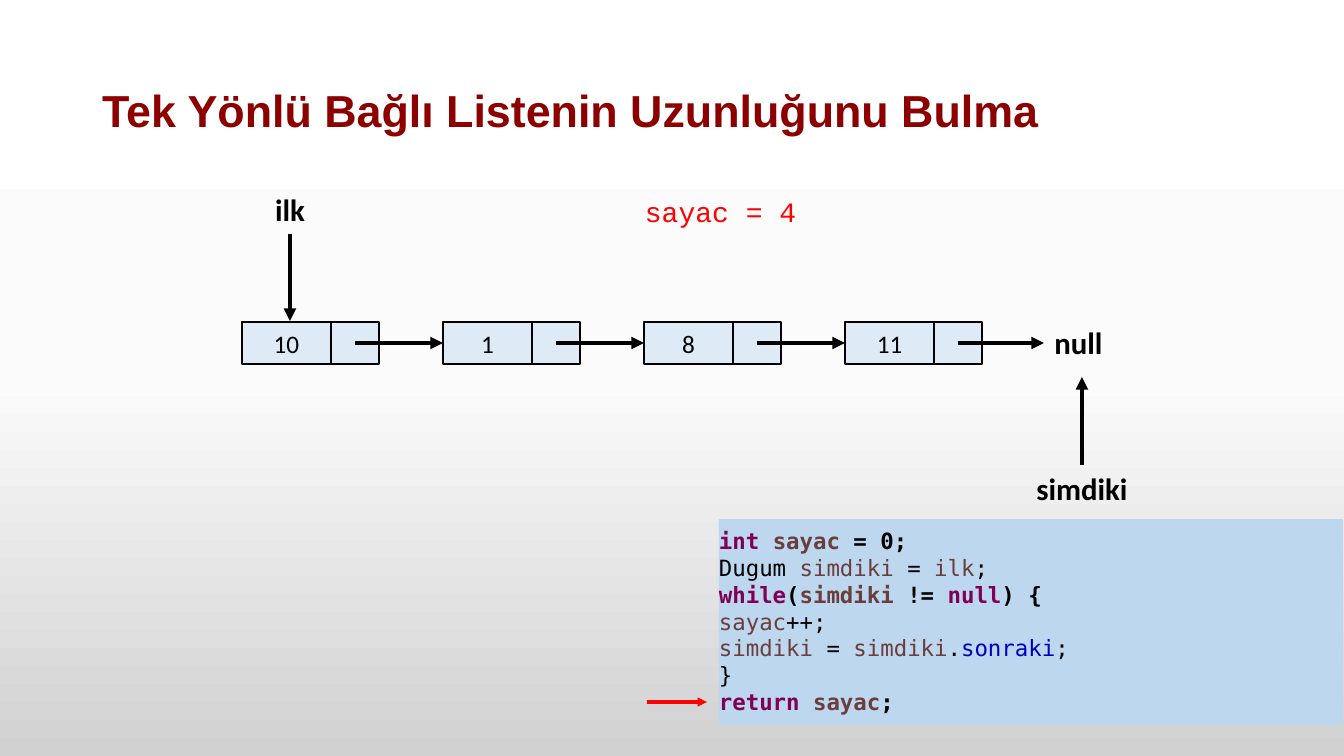
from lxml.etree import SubElement
from pptx import Presentation
from pptx.dml.color import RGBColor
from pptx.enum.shapes import MSO_CONNECTOR, MSO_SHAPE
from pptx.enum.text import MSO_ANCHOR, MSO_AUTO_SIZE, PP_ALIGN
from pptx.oxml.ns import qn
from pptx.util import Emu, Pt

BLACK = RGBColor(0x00, 0x00, 0x00)
RED = RGBColor(0xFF, 0x00, 0x00)
MAROON = RGBColor(0x8C, 0x00, 0x00)
CELL = RGBColor(0xDE, 0xEB, 0xF7)
PANEL = RGBColor(0xBD, 0xD7, 0xEE)
KEYWORD = RGBColor(0x7F, 0x00, 0x55)
VARIABLE = RGBColor(0x6A, 0x3E, 0x3E)
FIELD = RGBColor(0x00, 0x00, 0xC0)
BACKGROUND = [(0, "FFFFFF"), (50, "FBFBFB"), (100, "D1D1D1")]

CODE = [
    (True, [("int ", KEYWORD), ("sayac", VARIABLE), (" = 0;", BLACK)]),
    (False, [("Dugum ", BLACK), ("simdiki", VARIABLE), (" = ", BLACK),
             ("ilk", VARIABLE), (";", BLACK)]),
    (True, [("while", KEYWORD), ("(", BLACK), ("simdiki", VARIABLE),
            (" != ", BLACK), ("null", KEYWORD), (") {", BLACK)]),
    (False, [("sayac", VARIABLE), ("++;", BLACK)]),
    (False, [("simdiki", VARIABLE), (" = ", BLACK), ("simdiki", VARIABLE),
             (".", BLACK), ("sonraki", FIELD), (";", BLACK)]),
    (False, [("}", BLACK)]),
    (True, [("return ", KEYWORD), ("sayac", VARIABLE), (";", BLACK)]),
]

NODES = ["10", "1", "8", "11"]
NODE_X, NODE_Y, NODE_STEP = 242, 322, 201
DATA_W, LINK_W, NODE_H = 89, 48, 42
MID_Y = NODE_Y + NODE_H // 2


def px(n):
    return Emu(round(n * 914400 / 100.8))


class Deck:
    def __init__(self, width, height):
        self.prs = Presentation()
        self.prs.slide_width, self.prs.slide_height = px(width), px(height)
        self.slide = self.prs.slides.add_slide(self.prs.slide_layouts[5])
        self.shapes = self.slide.shapes

    def style(self, r, font, size, color, bold=False):
        r.font.name, r.font.size, r.font.bold = font, Pt(size), bold
        r.font.color.rgb = color

    def background(self, stops):
        fill = self.slide.background.fill
        fill.gradient()
        fill.gradient_angle = 270
        gs_lst = fill.gradient_stops[0]._gs.getparent()
        for gs in list(gs_lst):
            gs_lst.remove(gs)
        for pos, color in stops:
            gs = SubElement(gs_lst, qn("a:gs"), pos=str(pos * 1000))
            SubElement(gs, qn("a:srgbClr"), val=color)

    def title(self, text, x, y, w, h):
        sp = self.shapes.title
        sp.left, sp.top, sp.width, sp.height = map(px, (x, y, w, h))
        tf = sp.text_frame
        tf.text = text
        tf.auto_size = MSO_AUTO_SIZE.NONE
        tf.vertical_anchor = MSO_ANCHOR.MIDDLE
        p = tf.paragraphs[0]
        p.alignment, p.line_spacing = PP_ALIGN.LEFT, 0.9
        self.style(p.runs[0], "Arial", 32, MAROON, True)

    def label(self, text, x, y, w, h, font="Calibri", size=22, color=BLACK,
              bold=True, align=PP_ALIGN.CENTER):
        sp = self.shapes.add_textbox(px(x), px(y), px(w), px(h))
        tf = sp.text_frame
        tf.text = text
        tf.word_wrap = False
        tf.auto_size = MSO_AUTO_SIZE.SHAPE_TO_FIT_TEXT
        p = tf.paragraphs[0]
        p.alignment = align
        self.style(p.runs[0], font, size, color, bold)
        return sp

    def box(self, x, y, w, h, fill, line=None):
        sp = self.shapes.add_shape(MSO_SHAPE.RECTANGLE, px(x), px(y), px(w), px(h))
        sp.shadow.inherit = False
        sp.fill.solid()
        sp.fill.fore_color.rgb = fill
        if line is None:
            sp.line.fill.background()
        else:
            sp.line.color.rgb, sp.line.width = line, Pt(1)
        return sp

    def node(self, value, x):
        sp = self.box(x, NODE_Y, DATA_W, NODE_H, CELL, BLACK)
        tf = sp.text_frame
        tf.text = value
        tf.vertical_anchor = MSO_ANCHOR.MIDDLE
        p = tf.paragraphs[0]
        p.alignment = PP_ALIGN.CENTER
        self.style(p.runs[0], "Calibri", 18, BLACK)
        self.box(x + DATA_W, NODE_Y, LINK_W, NODE_H, CELL, BLACK)
        return sp

    def code(self, lines, x, y, w, h):
        tf = self.box(x, y, w, h, PANEL).text_frame
        tf.word_wrap = True
        tf.vertical_anchor = MSO_ANCHOR.TOP
        tf.margin_left = tf.margin_right = 0
        tf.margin_top = tf.margin_bottom = px(8)
        for i, (bold, tokens) in enumerate(lines):
            p = tf.add_paragraph() if i else tf.paragraphs[0]
            p.alignment = PP_ALIGN.LEFT
            for text, color in tokens:
                r = p.add_run()
                r.text = text
                self.style(r, "DejaVu Sans Mono", 16, color, bold)

    def arrow(self, x1, y1, x2, y2, color=BLACK, width=3, begin=None, end=None):
        cx = self.shapes.add_connector(MSO_CONNECTOR.STRAIGHT,
                                       px(x1), px(y1), px(x2), px(y2))
        cx.line.color.rgb, cx.line.width = color, Pt(width)
        SubElement(cx.line._get_or_add_ln(), qn("a:tailEnd"), type="triangle")
        SubElement(cx._element.spPr, qn("a:effectLst"))
        if begin:
            cx.begin_connect(*begin)
        if end:
            cx.end_connect(*end)


def main():
    deck = Deck(1344, 756)
    deck.background(BACKGROUND)
    deck.title("Tek Yönlü Bağlı Listenin Uzunluğunu Bulma", 92, 40, 1159, 146)
    deck.code(CODE, 719, 519, 624, 206)

    xs = [NODE_X + i * NODE_STEP for i in range(len(NODES))]
    targets = [deck.node(value, x) for value, x in zip(NODES, xs)]
    targets.append(deck.label("null", 1044, MID_Y - 24, 69, 48))
    for x, target in zip(xs, targets[1:]):
        deck.arrow(x + DATA_W + LINK_W // 2, MID_Y, x + NODE_STEP, MID_Y,
                   end=(target, 1))

    first = deck.label("ilk", 265, 186, 50, 48)
    deck.arrow(290, 234, 290, 321, begin=(first, 2))
    current = deck.label("simdiki", 1026, 465, 112, 48)
    deck.arrow(1082, 465, 1082, 377, begin=(current, 0))
    deck.arrow(647, 702, 707, 702, RED, 2.25)
    deck.label("sayac = 4", 635, 190, 173, 44, "Courier New", 20, RED, False,
               PP_ALIGN.LEFT)
    deck.prs.save("out.pptx")


if __name__ == "__main__":
    main()
